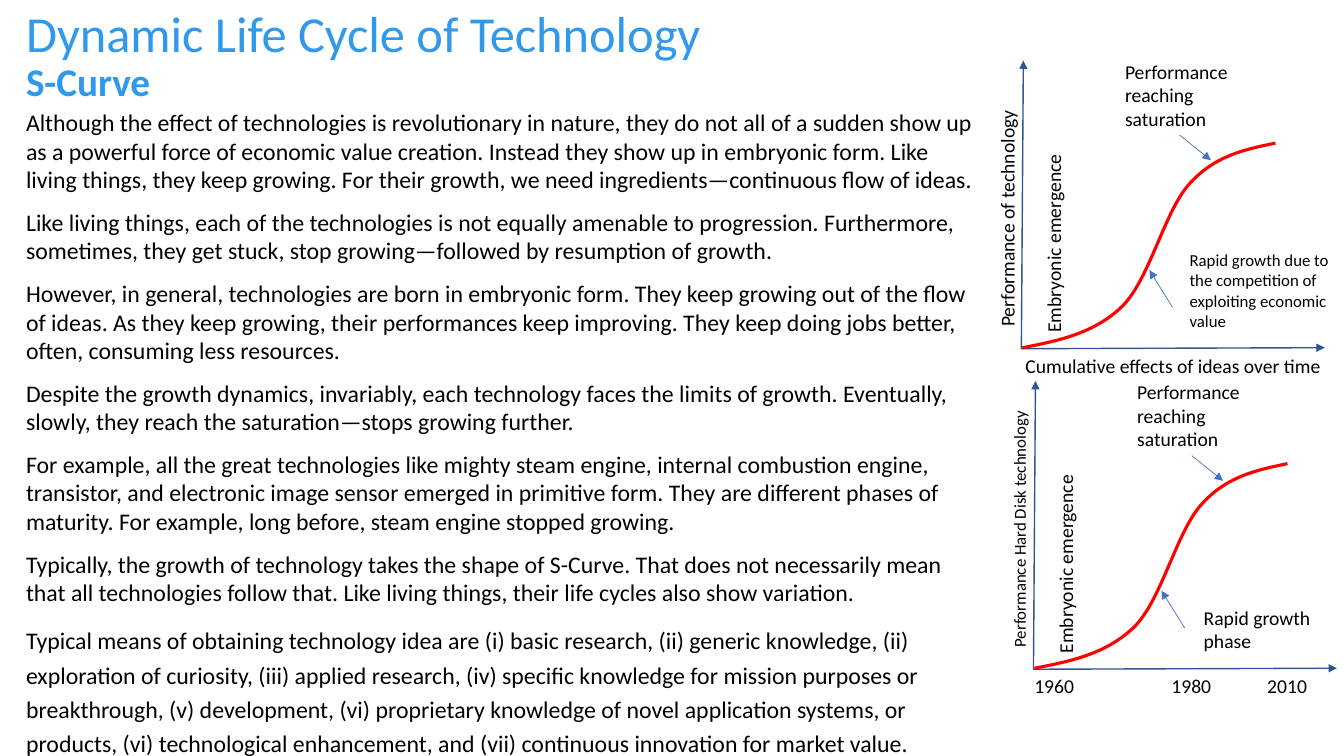
from lxml import etree
from pptx import Presentation
from pptx import util as u
from pptx.dml.color import RGBColor
from pptx.enum import shapes, text
from pptx.oxml import ns

PX = 9144  # 100 px to the inch
FONT = "Calibri"
SKY = RGBColor(0x30, 0x99, 0xEC)
BLACK = RGBColor(0, 0, 0)
NAVY = RGBColor(0x32, 0x54, 0x91)
BLUE = RGBColor(0x44, 0x72, 0xC4)
RED = RGBColor(0xFF, 0, 0)

BODY = [
    "Although the effect of technologies is revolutionary in nature, they do not all of a sudden "
    "show up as a powerful force of economic value creation. Instead they show up in embryonic "
    "form. Like living things, they keep growing. For their growth, we need "
    "ingredients—continuous flow of ideas.",
    "Like living things, each of the technologies is not equally amenable to progression. "
    "Furthermore, sometimes, they get stuck, stop growing—followed by resumption of growth.",
    "However, in general, technologies are born in embryonic form. They keep growing out of the "
    "flow of ideas. As they keep growing, their performances keep improving. They keep doing "
    "jobs better, often, consuming less resources.",
    "Despite the growth dynamics, invariably, each technology faces the limits of growth. "
    "Eventually, slowly, they reach the saturation—stops growing further.",
    "For example, all the great technologies like mighty steam engine, internal combustion "
    "engine, transistor, and electronic image sensor emerged in primitive form. They are "
    "different phases of maturity. For example, long before, steam engine stopped growing.",
    "Typically, the growth of technology takes the shape of S-Curve. That does not necessarily "
    "mean that all technologies follow that. Like living things, their life cycles also show "
    "variation.",
    "Typical means of obtaining technology idea are (i) basic research, (ii) generic knowledge, "
    "(ii) exploration of curiosity, (iii) applied research, (iv) specific knowledge for mission "
    "purposes or breakthrough, (v) development, (vi) proprietary knowledge of novel application "
    "systems, or products, (vi) technological enhancement, and (vii) continuous innovation for "
    "market value.",
]

# Places below are for the upper chart; the lower one is moved by LOWER.
LOWER = (12, 318)
AXES = [(1015, 60), (1013, 346), (1314, 345)]
CURVE = [(1014, 345), (1050, 338), (1085, 331), (1113, 304), (1141, 276),
         (1155, 208), (1181, 181), (1206, 154), (1236, 148), (1265, 142)]
ARROWS = [(1163, 305, 1140, 268), (1170, 134, 1201, 159)]
YEARS = [("1960", 1016), ("1980", 1152), ("2010", 1247)]


def write(para, words, size=14, bold=False, color=BLACK):
    run = para.add_run()
    run.text = words
    font = run.font
    font.name, font.size, font.bold = FONT, u.Pt(size), bold
    font.color.rgb = color


def frame(slide, x, y, w, h, turn=0):
    """Add an empty text box and return its text frame."""
    box = slide.shapes.add_textbox(x * PX, y * PX, w * PX, h * PX)
    box.rotation = turn
    box.text_frame.word_wrap = True
    return box.text_frame


def label(slide, words, x, y, w, h, turn=0, align=text.PP_ALIGN.LEFT, **style):
    para = frame(slide, x, y, w, h, turn).paragraphs[0]
    para.alignment = align
    write(para, words, **style)


def stroke(shape, color, width, *ends):
    """Set the line, with a triangle at each of the ends named."""
    shape.line.color.rgb = color
    shape.line.width = u.Pt(width)
    for end in ends:
        etree.SubElement(shape.line._get_or_add_ln(), ns.qn("a:" + end), type="triangle")


def outline(slide, points):
    start, *rest = points
    pen = slide.shapes.build_freeform(*start, scale=PX)
    pen.add_line_segments(rest, close=False)
    shape = pen.convert_to_shape()
    shape.fill.background()
    shape.shadow.inherit = False
    return shape


def bend(shape):
    """Turn each three line segments into one cubic curve."""
    legs = list(shape._element.iter(ns.qn("a:lnTo")))
    for i in range(0, len(legs), 3):
        cubic = etree.Element(ns.qn("a:cubicBezTo"))
        legs[i].addprevious(cubic)
        for leg in legs[i:i + 3]:
            cubic.append(leg[0])
            leg.getparent().remove(leg)


def arrow(slide, x1, y1, x2, y2):
    line = slide.shapes.add_connector(
        shapes.MSO_CONNECTOR.STRAIGHT, x1 * PX, y1 * PX, x2 * PX, y2 * PX)
    stroke(line, BLUE, 0.5, "tailEnd")
    etree.SubElement(line._element.spPr, ns.qn("a:effectLst"))


def chart(slide, dx=0, dy=0):
    """Draw the axes, S-curve, arrows and the labels both charts share."""
    def move(points):
        return [(x + dx, y + dy) for x, y in points]

    stroke(outline(slide, move(AXES)), NAVY, 1, "headEnd", "tailEnd")
    curve = outline(slide, move(CURVE))
    bend(curve)
    stroke(curve, RED, 2.25)
    for x1, y1, x2, y2 in ARROWS:
        arrow(slide, x1 + dx, y1 + dy, x2 + dx, y2 + dy)
    label(slide, "Embryonic emergence", 941 + dx, 219 + dy, 208, 34, turn=270)
    label(slide, "Performance reaching saturation", 1106 + dx, 54 + dy, 127, 81)


def title(slide):
    box = frame(slide, 16, -16, 970, 145)
    box.vertical_anchor = text.MSO_ANCHOR.MIDDLE
    para = box.paragraphs[0]
    para.line_spacing = 0.9
    write(para, "Dynamic Life Cycle of Technology", size=36, color=SKY)
    para.add_line_break()
    write(para, "S-Curve", size=28, bold=True, color=SKY)


def body(slide):
    box = frame(slide, 16, 102, 960, 648)
    for i, words in enumerate(BODY):
        para = box.add_paragraph() if i else box.paragraphs[0]
        para.space_before = u.Pt(10 if i else 0)
        write(para, words, size=17)
    para.line_spacing = 1.2


def main():
    deck = Presentation()
    deck.slide_width, deck.slide_height = 1333 * PX, 750 * PX
    slide = deck.slides.add_slide(deck.slide_layouts[6])
    title(slide)
    body(slide)

    chart(slide)
    label(slide, "Performance of technology", 868, 186, 262, 34, turn=270)
    label(slide, "Rapid growth due to the competition of exploiting economic value",
          1170, 243, 162, 91, size=12)
    label(slide, "Cumulative effects of ideas over time", 1004, 346, 319, 34,
          align=text.PP_ALIGN.CENTER)

    chart(slide, *LOWER)
    label(slide, "Performance Hard Disk technology", 880, 506, 262, 30, turn=270, size=12)
    label(slide, "Rapid growth phase", 1184, 596, 127, 57)
    for year, x in YEARS:
        label(slide, year, x, 664, 70, 34)

    deck.save("out.pptx")


if __name__ == "__main__":
    main()
